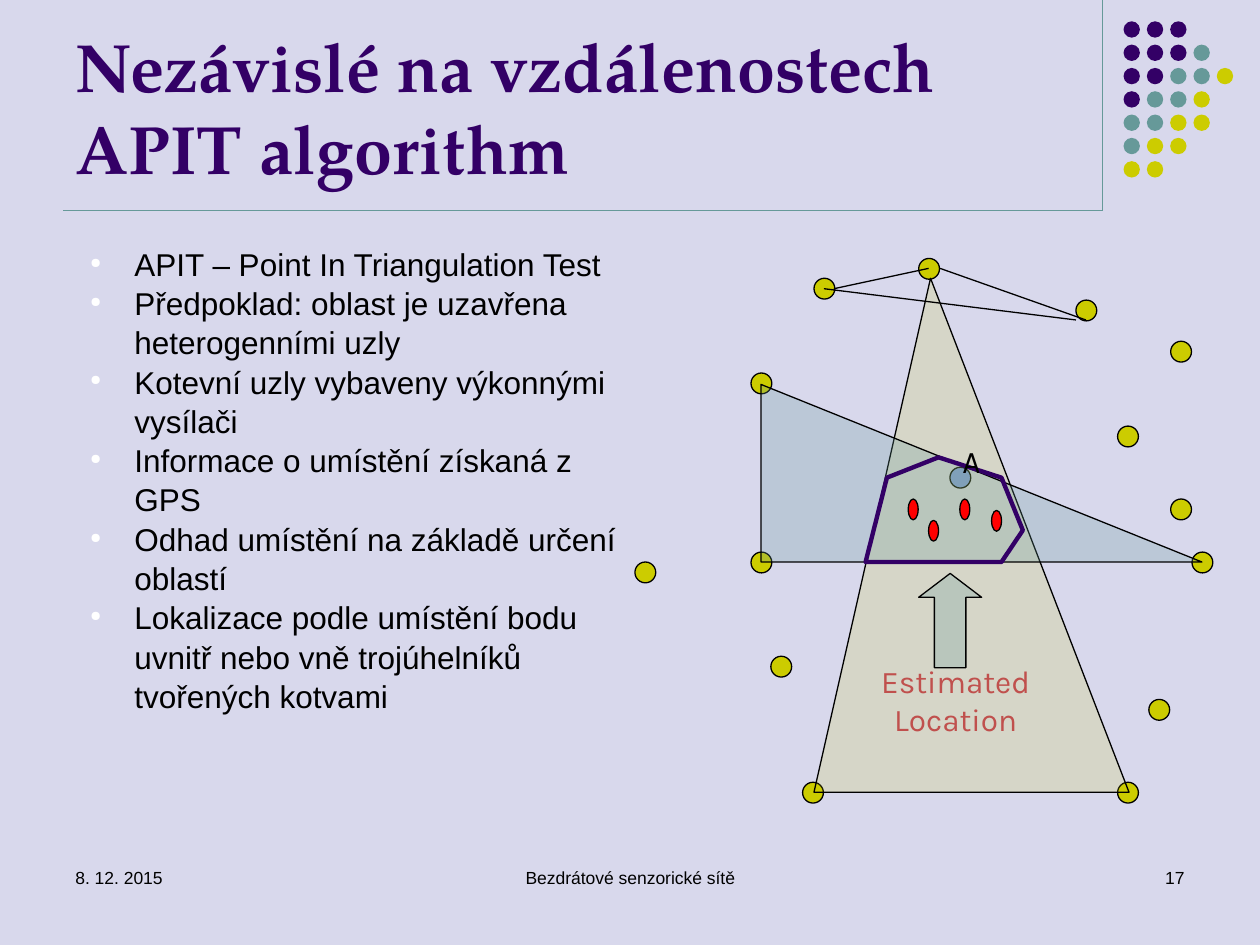
from dataclasses import dataclass

from lxml import etree
from pptx import Presentation
from pptx import util as u
from pptx.dml.color import RGBColor
from pptx.enum import shapes, text
from pptx.oxml import ns

Cm, Pt = u.Cm, u.Pt


@dataclass(frozen=True)
class Theme:
    back: str = "D8D8EC"
    purple: str = "330066"
    teal: str = "669999"
    yellow: str = "CCCC00"
    black: str = "000000"
    white: str = "FFFFFF"
    blue: str = "7E9CE8"
    red: str = "FF0000"
    label: str = "C0504D"
    title_font: str = "TeX Gyre Pagella"
    body_font: str = "Arial"
    label_font: str = "Karla"
    title_size: int = 39
    body_size: int = 18
    footer_size: int = 10
    thin: float = 0.75
    thick: float = 2.5


T = Theme()
KIND = shapes.MSO_SHAPE
LEFT, CENTER, RIGHT = text.PP_ALIGN.LEFT, text.PP_ALIGN.CENTER, text.PP_ALIGN.RIGHT


def style(s, fill=None, alpha=None, line=T.black, width=T.thin):
    """Set fill, transparency and outline of a shape without shadow."""
    s.shadow.inherit = False
    if fill:
        s.fill.solid()
        s.fill.fore_color.rgb = RGBColor.from_string(fill)
    else:
        s.fill.background()
    if alpha:
        clr = s.fill._xPr.find(".//" + ns.qn("a:srgbClr"))
        etree.SubElement(clr, ns.qn("a:alpha"), val=str(alpha * 1000))
    if line:
        s.line.color.rgb = RGBColor.from_string(line)
        s.line.width = Pt(width)
    else:
        s.line.fill.background()


def add_text(box, lines, color, font, align=LEFT, anchor=text.MSO_ANCHOR.TOP):
    """Add a wrapped text box with one paragraph per line."""
    tf = slide.shapes.add_textbox(*map(Cm, box)).text_frame
    tf.word_wrap = True
    tf.vertical_anchor = anchor
    for i, line in enumerate(lines):
        p = tf.paragraphs[0] if i == 0 else tf.add_paragraph()
        p.alignment = align
        r = p.add_run()
        r.text = line
        r.font.color.rgb = RGBColor.from_string(color)
        for name, value in font.items():
            setattr(r.font, name, value)
    return tf


prs = Presentation()
prs.slide_width, prs.slide_height = Cm(25.4), Cm(19.05)
slide = prs.slides.add_slide(prs.slide_layouts[6])
slide.background.fill.solid()
slide.background.fill.fore_color.rgb = RGBColor.from_string(T.back)

# Decorative dot grid: one letter per dot
dot_colors = {"P": T.purple, "T": T.teal, "Y": T.yellow}
dot, pitch = 0.33, 0.47
for row, letters in enumerate(["PPP", "PPPT", "PPTTY", "PTTY", "TTYY", "TYY", "YY"]):
    for col, letter in enumerate(letters):
        s = slide.shapes.add_shape(KIND.OVAL, Cm(22.65 + col * pitch),
                                   Cm(0.43 + row * pitch), Cm(dot), Cm(dot))
        style(s, dot_colors[letter], line=None)

# Title
title_fmt = {"name": T.title_font, "size": Pt(T.title_size), "bold": True}
add_text((1.27, 0.33, 20.96, 3.58), ["Nezávislé na vzdálenostech", "APIT algorithm"],
         T.purple, title_fmt, anchor=text.MSO_ANCHOR.BOTTOM)

# Bulleted body
body_fmt = {"name": T.body_font, "size": Pt(T.body_size)}
tf = add_text((1.27, 4.78, 11.53, 12.24), [
    "APIT – Point In Triangulation Test",
    "Předpoklad: oblast je uzavřena heterogenními uzly",
    "Kotevní uzly vybaveny výkonnými vysílači",
    "Informace o umístění získaná z GPS",
    "Odhad umístění na základě určení oblastí",
    "Lokalizace podle umístění bodu uvnitř nebo vně trojúhelníků tvořených kotvami",
], T.black, body_fmt)
for p in tf.paragraphs:
    p.line_spacing = 1.04
    pPr = p._p.get_or_add_pPr()
    pPr.set("marL", str(Cm(1.19)))
    pPr.set("indent", str(Cm(-0.89)))
    clr = etree.SubElement(pPr, ns.qn("a:buClr"))
    etree.SubElement(clr, ns.qn("a:srgbClr"), val=T.white)
    etree.SubElement(pPr, ns.qn("a:buSzPct"), val="45000")
    etree.SubElement(pPr, ns.qn("a:buChar"), char="●")

# Footer
footer_fmt = {"name": T.body_font, "size": Pt(T.footer_size)}
for x, w, line, align in [
    (1.27, 5.92, "8. 12. 2015", LEFT),
    (8.69, 8.03, "Bezdrátové senzorické sítě", CENTER),
    (18.21, 5.92, "17", RIGHT),
]:
    add_text((x, 17.35, w, 1.27), [line], T.black, footer_fmt, align)

# Nodes and triangles, back to front
node = 0.42
anchors_behind = [(18.52, 5.21), (15.14, 7.52), (15.14, 11.13), (16.18, 15.77),
                  (22.53, 15.77), (24.03, 11.13), (21.69, 6.05), (15.54, 13.23)]
anchors_front = [(16.41, 5.61), (22.53, 8.59), (23.6, 6.88), (23.6, 10.06),
                 (12.8, 11.33), (23.16, 14.1)]
sensors = [(18.31, 10.06), (18.72, 10.49), (19.35, 10.06), (19.99, 10.29)]
parts = [(KIND.OVAL, (x, y, node, node), T.yellow, None, []) for x, y in anchors_behind]
parts += [
    (KIND.OVAL, (19.15, 9.42, node, node), T.blue, None, []),
    (KIND.ISOSCELES_TRIANGLE, (16.41, 5.61, 6.35, 10.36), T.yellow, 15, [0.37]),
    (KIND.RIGHT_TRIANGLE, (15.34, 7.75, 8.89, 3.58), T.teal, 25, []),
]
parts += [(KIND.OVAL, (x, y, node, node), T.yellow, None, []) for x, y in anchors_front]
parts += [(KIND.UP_ARROW, (18.52, 11.56, 1.27, 1.9), T.teal, 25, [0.5, 0.38])]
parts += [(KIND.OVAL, (x, y, 0.2, node), T.red, None, []) for x, y in sensors]
for kind, box, fill, alpha, adjustments in parts:
    s = slide.shapes.add_shape(kind, *map(Cm, box))
    style(s, fill, alpha)
    for i, value in enumerate(adjustments):
        s.adjustments[i] = value

# Outline of the estimated area
area = [(Cm(x), Cm(y)) for x, y in [(18.92, 9.22), (20.19, 9.63), (20.62, 10.69),
                                    (20.19, 11.33), (17.45, 11.33), (17.88, 9.63)]]
builder = slide.shapes.build_freeform(*area[0])
builder.add_line_segments(area[1:], close=True)
style(builder.convert_to_shape(), line=T.purple, width=T.thick)

# Diagram labels
label_fmt = {"name": T.label_font, "size": Pt(T.body_size)}
add_text((17.04, 13.23, 4.45, 1.78), ["Estimated Location"], T.label, label_fmt, CENTER)
add_text((19.15, 8.79, 0.84, 1.02), ["A"], T.black, label_fmt, CENTER)

# Title rules and the links of the upper triangle
for x1, y1, x2, y2, color in [
    (22.23, 0, 22.23, 4.24, T.teal),
    (1.27, 4.24, 22.23, 4.24, T.teal),
    (16.61, 5.82, 21.69, 6.45, T.black),
    (16.81, 5.82, 18.72, 5.41, T.black),
    (18.95, 5.41, 21.89, 6.45, T.black),
]:
    s = slide.shapes.add_connector(shapes.MSO_CONNECTOR.STRAIGHT,
                                   Cm(x1), Cm(y1), Cm(x2), Cm(y2))
    s.line.color.rgb = RGBColor.from_string(color)
    s.line.width = Pt(T.thin)
    etree.SubElement(s._element.spPr, ns.qn("a:effectLst"))

prs.save("out.pptx")
